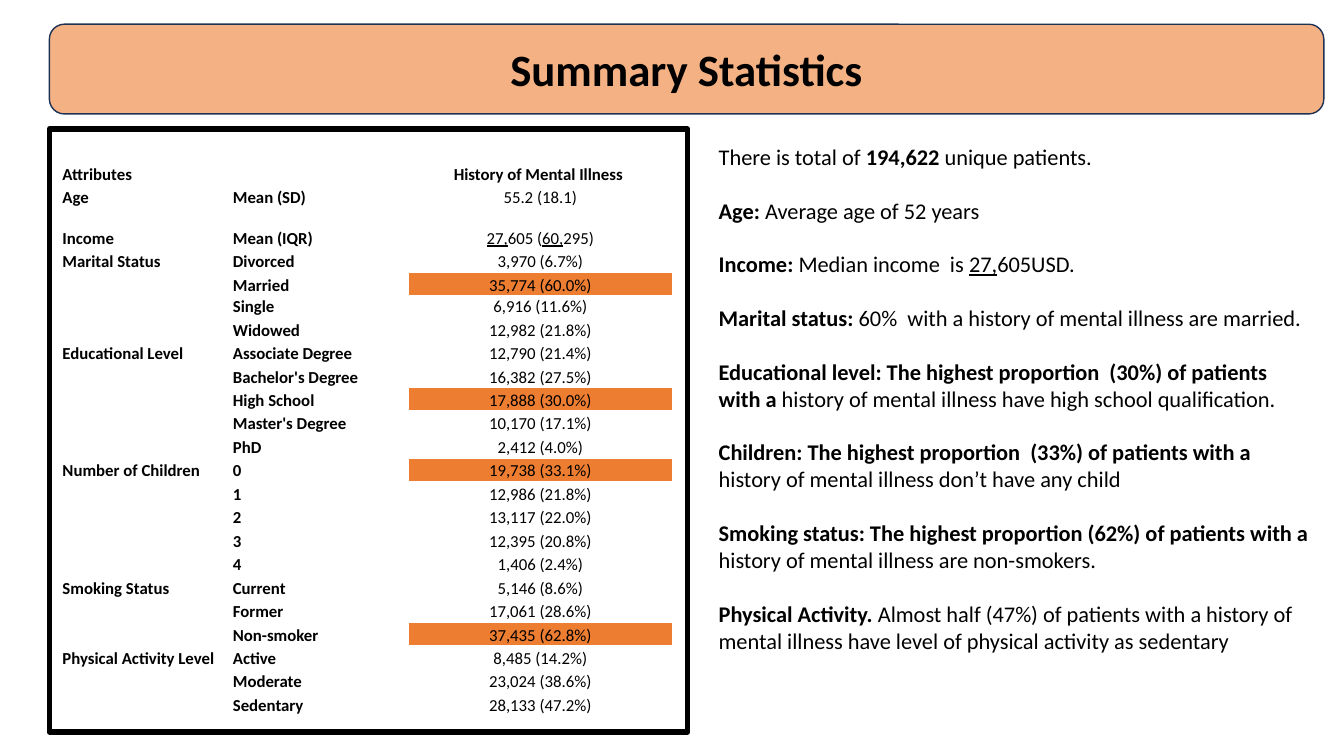
"""Build the summary statistics slide with its patient table and findings."""
from dataclasses import dataclass

from lxml.etree import SubElement
from pptx import Presentation
from pptx.dml.color import RGBColor
from pptx.enum.shapes import MSO_SHAPE
from pptx.enum.text import MSO_ANCHOR, MSO_AUTO_SIZE, PP_ALIGN
from pptx.oxml.ns import qn
from pptx.util import Inches, Pt

FONT = "Calibri"
BLACK, WHITE, ORANGE = "000000", "FFFFFF", "ED7D31"
TABLE_HEIGHT, INCOME_HEIGHT, SINGLE_HEIGHT = 5.73, 0.4, 0.21
COLUMN_WIDTHS = (1.69, 1.59, 0.16, 2.62)


@dataclass
class Run:
    text: str
    bold: bool = False
    underline: bool = False


@dataclass
class Row:
    attribute: str
    level: str
    value: list[Run]
    highlight: bool = False


@dataclass
class Box:
    shape: MSO_SHAPE
    left: float
    top: float
    width: float
    height: float
    fill: str
    line: str
    line_width: float


def stat(attribute: str, level: str, value: str, highlight: bool = False) -> Row:
    return Row(attribute, level, [Run(value)], highlight)


BANNER = Box(MSO_SHAPE.ROUNDED_RECTANGLE, 0.49, 0.24, 12.64, 0.89, "F4B183", "1E3256", 1)
FRAME = Box(MSO_SHAPE.RECTANGLE, 0.49, 1.28, 6.33, 5.98, WHITE, BLACK, 4)

ROWS = [
    Row("", "", []),
    Row("Attributes", "", [Run("History of Mental Illness ", True)]),
    stat("Age", "Mean (SD)", "55.2 (18.1)"),
    Row("Income", "Mean (IQR)", [Run("27,", underline=True), Run("605 ("),
                                 Run("60,", underline=True), Run("295)")]),
    stat("Marital Status", "Divorced", "3,970 (6.7%)"),
    stat("", "Married", "35,774 (60.0%)", True),
    stat("", "Single", "6,916 (11.6%)"),
    stat("", "Widowed", "12,982 (21.8%)"),
    stat("Educational Level", "Associate Degree", "12,790 (21.4%)"),
    stat("", "Bachelor's Degree", "16,382 (27.5%)"),
    stat("", "High School", "17,888 (30.0%)", True),
    stat("", "Master's Degree", "10,170 (17.1%)"),
    stat("", "PhD", "2,412 (4.0%)"),
    stat("Number of Children", "0", "19,738 (33.1%)", True),
    stat("", "1", "12,986 (21.8%)"),
    stat("", "2", "13,117 (22.0%)"),
    stat("", "3", "12,395 (20.8%)"),
    stat("", "4", "1,406 (2.4%)"),
    stat("Smoking Status", "Current", "5,146 (8.6%)"),
    stat("", "Former", "17,061 (28.6%)"),
    stat("", "Non-smoker", "37,435 (62.8%)", True),
    stat("Physical Activity Level", "Active", "8,485 (14.2%)"),
    stat("", "Moderate", "23,024 (38.6%)"),
    stat("", "Sedentary", "28,133 (47.2%)"),
]

FINDINGS = [
    [Run("There is total of "), Run("194,622", True), Run(" unique patients.")],
    [Run("Age: ", True), Run("Average age of 52 years")],
    [Run("Income: ", True), Run("Median income  is "),
     Run("27,", underline=True), Run("605USD.")],
    [Run("Marital status: ", True),
     Run("60%  with a history of mental illness are married.")],
    [Run("Educational level: The highest proportion  (30%) of patients with a ", True),
     Run("history of mental illness have high school qualification.")],
    [Run("Children: The highest proportion  (33%) of patients with a ", True),
     Run("history of mental illness don’t have any child")],
    [Run("Smoking status: The highest proportion (62%) of patients with a ", True),
     Run("history of mental illness are non-smokers.")],
    [Run("Physical Activity. ", True),
     Run("Almost half (47%) of patients with a history of mental illness "
         "have level of physical activity as sedentary")],
]


def color(value: str) -> RGBColor:
    return RGBColor.from_string(value)


def add_runs(p, runs: list[Run], size: int) -> None:
    for run in runs:
        r = p.add_run()
        r.text = run.text
        r.font.name = FONT
        r.font.size = Pt(size)
        r.font.bold = run.bold
        r.font.underline = run.underline
        r.font.color.rgb = color(BLACK)


def add_box(s, box: Box):
    sp = s.shapes.add_shape(box.shape, Inches(box.left), Inches(box.top),
                            Inches(box.width), Inches(box.height))
    sp.shadow.inherit = False
    sp.fill.solid()
    sp.fill.fore_color.rgb = color(box.fill)
    sp.line.color.rgb = color(box.line)
    sp.line.width = Pt(box.line_width)
    return sp


def add_borders(cell) -> None:
    tc_pr = cell._tc.get_or_add_tcPr()
    for side in ("lnL", "lnR", "lnT", "lnB"):
        ln = SubElement(tc_pr, qn(f"a:{side}"), w=str(Pt(1)))
        fill = SubElement(ln, qn("a:solidFill"))
        SubElement(fill, qn("a:srgbClr"), val=WHITE)


def fill_cell(cell, runs: list[Run], fill: str, align: PP_ALIGN) -> None:
    add_borders(cell)
    cell.fill.solid()
    cell.fill.fore_color.rgb = color(fill)
    cell.vertical_anchor = MSO_ANCHOR.BOTTOM
    cell.margin_left = cell.margin_right = cell.margin_top = Inches(0.01)
    cell.margin_bottom = 0
    p = cell.text_frame.paragraphs[0]
    p.alignment = align
    add_runs(p, runs, 12)
    if not runs:
        SubElement(p._p, qn("a:endParaRPr"), sz="1200")


def add_statistics(s) -> None:
    table = s.shapes.add_table(len(ROWS), len(COLUMN_WIDTHS), Inches(0.61), Inches(1.37),
                               Inches(sum(COLUMN_WIDTHS)), Inches(TABLE_HEIGHT)).table
    table.first_row = table.horz_banding = False
    for column, width in zip(table.columns, COLUMN_WIDTHS):
        column.width = Inches(width)
    special = {"Mean (IQR)": INCOME_HEIGHT, "Single": SINGLE_HEIGHT}
    regular = (TABLE_HEIGHT - sum(special.values())) / (len(ROWS) - len(special))
    for i, row in enumerate(ROWS):
        table.rows[i].height = Inches(special.get(row.level, regular))
        labels = [[Run(text, True)] if text else [] for text in (row.attribute, row.level, "")]
        for j, runs in enumerate(labels):
            fill_cell(table.cell(i, j), runs, WHITE, PP_ALIGN.LEFT)
        fill_cell(table.cell(i, 3), row.value, ORANGE if row.highlight else WHITE,
                  PP_ALIGN.CENTER)
    table.cell(0, 2).merge(table.cell(0, 3))


def add_findings(s) -> None:
    tf = s.shapes.add_textbox(Inches(7.03), Inches(1.37), Inches(6.1), Inches(5.22)).text_frame
    tf.word_wrap = True
    tf.auto_size = MSO_AUTO_SIZE.SHAPE_TO_FIT_TEXT
    for i, runs in enumerate(FINDINGS):
        p = tf.add_paragraph() if i else tf.paragraphs[0]
        p.space_before = Pt(19.2 if i else 0)
        add_runs(p, runs, 16)


def main() -> None:
    prs = Presentation()
    prs.slide_width, prs.slide_height = Inches(13.33), Inches(7.5)
    s = prs.slides.add_slide(prs.slide_layouts[6])
    tf = add_box(s, BANNER).text_frame
    tf.vertical_anchor = MSO_ANCHOR.MIDDLE
    tf.paragraphs[0].alignment = PP_ALIGN.CENTER
    add_runs(tf.paragraphs[0], [Run("Summary Statistics", True)], 32)
    add_box(s, FRAME)
    add_statistics(s)
    add_findings(s)
    prs.save("out.pptx")


if __name__ == "__main__":
    main()
